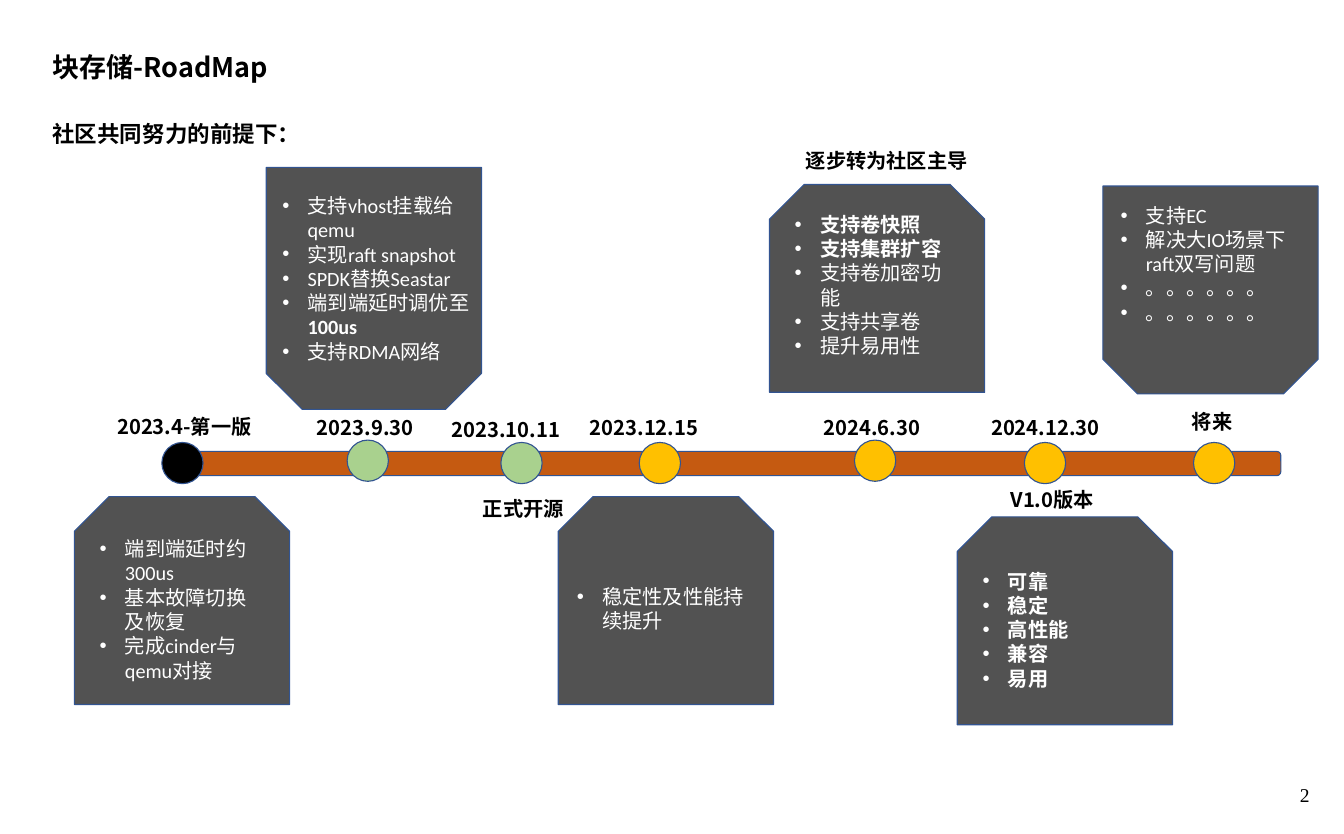
from dataclasses import dataclass
from typing import Any, Optional

from lxml import etree
from pptx import Presentation
from pptx.dml.color import RGBColor
from pptx.enum import shapes, text
from pptx.oxml import ns
from pptx.util import Pt

BLACK = RGBColor(0x00, 0x00, 0x00)
WHITE = RGBColor(0xFF, 0xFF, 0xFF)
NAVY = RGBColor(0x32, 0x54, 0x91)
RUST = RGBColor(0xC5, 0x5A, 0x11)
GREEN = RGBColor(0xA9, 0xD1, 0x8E)
AMBER = RGBColor(0xFF, 0xC0, 0x00)
CHARCOAL = RGBColor(0x52, 0x52, 0x52)
CJK_FONT = "Noto Sans CJK SC"
DOT_SIZE = 36.7
BULLET_INDENT = 22.5
CARD_WIDTH = 191.5

Box = tuple[float, float, float, float]


@dataclass(frozen=True)
class Label:
    wording: str
    left: float
    top: float
    width: float
    height: float = 28.8
    size: float = 18


@dataclass(frozen=True)
class Dot:
    left: float
    colour: RGBColor
    top: float = 393.8


@dataclass(frozen=True)
class Card:
    left: float
    top: float
    points: tuple[str, ...]
    height: float = 185
    rotation: float = 0
    points_box: Optional[Box] = None
    bottom_inset: float = 3.6


LABELS = (
    Label("社区共同努力的前提下：", 39.6, 103.7, 512.6, 31.7, 20),
    Label("2023.4-第一版", 97.2, 365, 152.6),
    Label("2023.9.30", 275, 365.8, 113),
    Label("2023.10.11", 394.6, 367.9, 124.6),
    Label("2023.12.15", 517.7, 366.5, 121),
    Label("2024.6.30", 725.8, 366.5, 128.2),
    Label("2024.12.30", 874.8, 365.8, 128.2),
    Label("将来", 1053.4, 360.7, 54.7),
    Label("正式开源", 422.6, 438.5, 87.8),
    Label("逐步转为社区主导", 709.9, 128.9, 210.2),
    Label("V1.0版本", 892.1, 430.6, 102.2),
)

DOTS = (
    Dot(144, BLACK),
    Dot(308.9, GREEN, 391.7),
    Dot(445.7, GREEN),
    Dot(568.8, AMBER),
    Dot(760.3, AMBER, 391.7),
    Dot(911.5, AMBER),
    Dot(1062, AMBER),
)

# In a point, the words after "|" are bold.
CARDS = (
    Card(66.2, 442.1, ("端到端延时约300us", "基本故障切换及恢复", "完成cinder与qemu对接")),
    Card(236.9, 149, ("支持vhost挂载给qemu", "实现raft snapshot", "SPDK替换Seastar",
                      "端到端延时调优至|100us", "支持RDMA网络"),
         height=215.3, rotation=180, points_box=(244.1, 168.5, 191.5, 181.4)),
    Card(496.8, 442.1, ("稳定性及性能持续提升",), points_box=(506.2, 516.2, 172.1, 51.1)),
    Card(684.7, 164.2, ("|支持卷快照", "|支持集群扩容", "支持卷加密功能", "支持共享卷", "提升易用性"),
         bottom_inset=25.2),
    Card(851.8, 460.1, ("|可靠", "|稳定", "|高性能", "|兼容", "|易用")),
    Card(981.4, 165.6, ("支持EC", "解决大IO场景下raft双写问题", "。。。。。。", "。。。。。。"),
         rotation=180, points_box=(990, 177.1, 162, 138.2)),
)


def apply(target: Any, values: dict[str, Any]) -> None:
    for name, value in values.items():
        setattr(target, name, value)


def add_run(paragraph: Any, wording: str, size: float, colour: RGBColor,
            bold: bool, font: str) -> None:
    run = paragraph.add_run()
    run.text = wording
    apply(run.font, {"name": font, "size": Pt(size), "bold": bold})
    run.font.color.rgb = colour
    east_asian = etree.SubElement(run.font._element, ns.qn("a:ea"))
    east_asian.set("typeface", CJK_FONT)


def add_box(slide: Any, box: Box) -> Any:
    frame = slide.shapes.add_textbox(*map(Pt, box)).text_frame
    frame.word_wrap = True
    return frame


def add_figure(slide: Any, preset: Any, box: Box, colour: RGBColor) -> Any:
    figure = slide.shapes.add_shape(preset, *map(Pt, box))
    figure.shadow.inherit = False
    figure.fill.solid()
    figure.fill.fore_color.rgb = colour
    figure.line.color.rgb = NAVY
    figure.line.width = Pt(1)
    return figure


def add_label(slide: Any, label: Label) -> None:
    frame = add_box(slide, (label.left, label.top, label.width, label.height))
    add_run(frame.paragraphs[0], label.wording, label.size, BLACK, True, CJK_FONT)


def write_points(frame: Any, points: tuple[str, ...]) -> None:
    for index, point in enumerate(points):
        paragraph = frame.add_paragraph() if index else frame.paragraphs[0]
        paragraph.alignment = text.PP_ALIGN.LEFT
        properties = paragraph._p.get_or_add_pPr()
        properties.set("marL", str(Pt(BULLET_INDENT)))
        properties.set("indent", str(-Pt(BULLET_INDENT)))
        etree.SubElement(properties, ns.qn("a:buFont")).set("typeface", "Arial")
        etree.SubElement(properties, ns.qn("a:buChar")).set("char", "•")
        plain, _, strong = point.partition("|")
        for wording, bold in ((plain, False), (strong, True)):
            if wording:
                add_run(paragraph, wording, 18, WHITE, bold, "Calibri")


def add_card(slide: Any, card: Card) -> None:
    panel = add_figure(slide, shapes.MSO_SHAPE.SNIP_2_SAME_RECTANGLE,
                       (card.left, card.top, CARD_WIDTH, card.height), CHARCOAL)
    panel.rotation = card.rotation
    if card.points_box:
        frame = add_box(slide, card.points_box)
    else:
        frame = panel.text_frame
        apply(frame, {"word_wrap": True, "vertical_anchor": text.MSO_ANCHOR.MIDDLE,
                      "margin_bottom": Pt(card.bottom_inset)})
    write_points(frame, card.points)


def add_title(slide: Any) -> None:
    title = slide.shapes.title
    apply(title, {"left": Pt(39.6), "top": Pt(41.8), "width": Pt(214.6), "height": Pt(36)})
    apply(title.text_frame, {"word_wrap": False, "auto_size": text.MSO_AUTO_SIZE.NONE,
                             "vertical_anchor": text.MSO_ANCHOR.TOP})
    heading = title.text_frame.paragraphs[0]
    heading.alignment = text.PP_ALIGN.LEFT
    add_run(heading, "块存储-RoadMap", 24, BLACK, True, CJK_FONT)


def add_page_number(slide: Any) -> None:
    frame = add_box(slide, (1125, 680.4, 72, 54.7))
    frame.vertical_anchor = text.MSO_ANCHOR.MIDDLE
    number = frame.paragraphs[0]
    number.alignment = text.PP_ALIGN.CENTER
    add_run(number, "2", 17.4, BLACK, False, "Times New Roman")


def main() -> None:
    deck = Presentation()
    apply(deck, {"slide_width": Pt(1195.92), "slide_height": Pt(742.32)})
    roadmap = deck.slides.add_slide(deck.slide_layouts[5])
    add_title(roadmap)
    add_page_number(roadmap)
    add_figure(roadmap, shapes.MSO_SHAPE.ROUNDED_RECTANGLE, (166.3, 401.8, 973.4, 21.6), RUST)
    for dot in DOTS:
        add_figure(roadmap, shapes.MSO_SHAPE.OVAL,
                   (dot.left, dot.top, DOT_SIZE, DOT_SIZE), dot.colour)
    for card in CARDS:
        add_card(roadmap, card)
    for label in LABELS:
        add_label(roadmap, label)
    deck.save("out.pptx")


if __name__ == "__main__":
    main()
